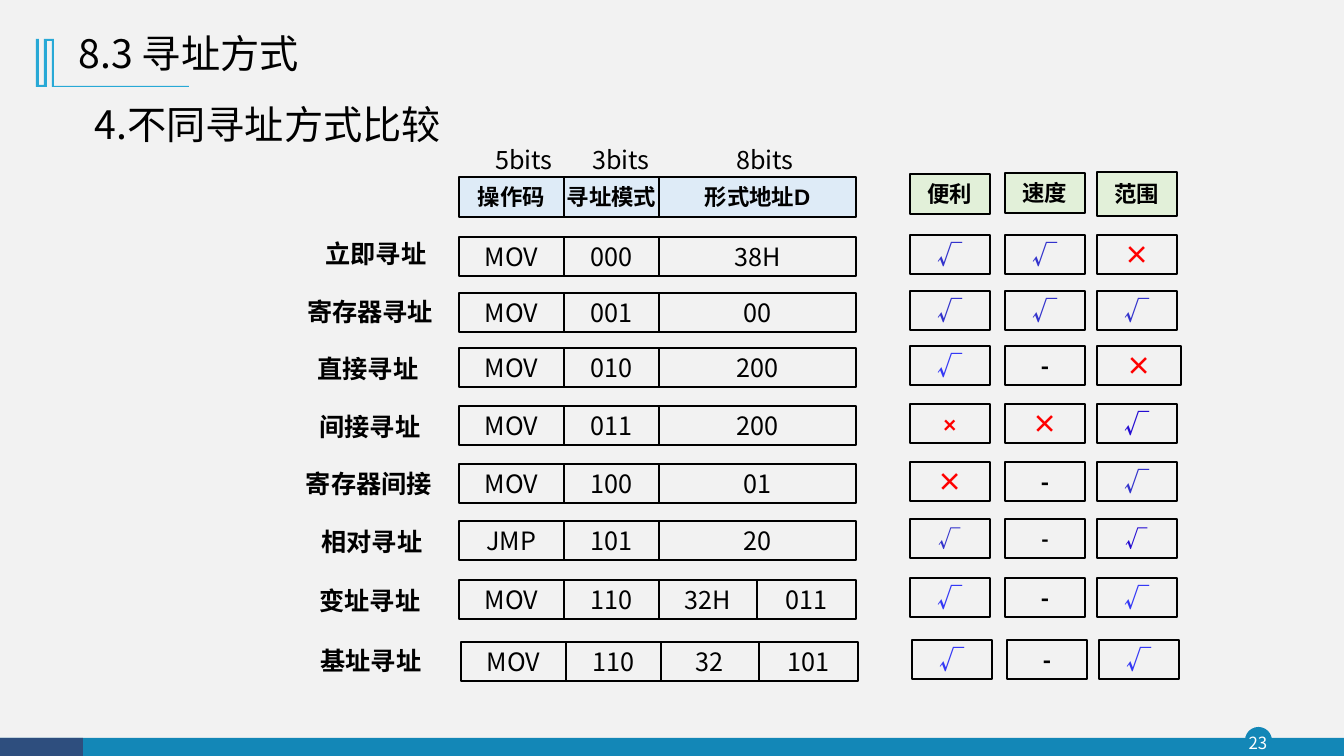
from pptx import Presentation, util as u
from pptx.dml.color import RGBColor
from pptx.enum import shapes, text
from pptx.oxml.ns import qn
from lxml import etree

PX = 12192000 / 1344  # EMU per px
NOTO, NOTO_JP, LATIN, LATO, NARROW = (
    "Noto Sans CJK SC", "Noto Sans CJK JP", "Arial", "Lato", "Calibri")
THEME = dict(
    back="F2F2F2", ink="000000", white="FFFFFF", bar="1387B7", bar_dark="2E4E7E",
    accent="28A9D6", field="DEEBF7", criterion="E2F0D9", cross="FF0000",
    tick="3333CC", tick_bright="3438F6", tick_deep="240CD2",
    title=28, body=18, head=16, number=12, line=1.75)
T = THEME


def write(sp, words, size="body", font=NOTO, color="ink", bold=False,
          center=True, wrap=False, middle=True, inset=None):
    tf = sp.text_frame
    tf.word_wrap = wrap
    tf.vertical_anchor = text.MSO_ANCHOR.MIDDLE if middle else text.MSO_ANCHOR.TOP
    if inset is not None:
        tf.margin_left = tf.margin_right = inset
    p = tf.paragraphs[0]
    p.text = words
    p.alignment = text.PP_ALIGN.CENTER if center else text.PP_ALIGN.LEFT
    f = p.font
    f.name, f.size, f.bold = font, u.Pt(T[size]), bold
    f.color.rgb = RGBColor.from_string(T[color])
    if font != LATIN and font != LATO:
        ea = etree.Element(qn("a:ea"), typeface=font)
        f._element.find(qn("a:latin")).addnext(ea)
    return p


def shape(x, y, w, h, fill=None, line=None, kind=shapes.MSO_SHAPE.RECTANGLE):
    sp = s.shapes.add_shape(kind, *(round(v * PX) for v in (x, y, w, h)))
    sp.shadow.inherit = False
    if fill:
        sp.fill.solid()
        sp.fill.fore_color.rgb = RGBColor.from_string(T[fill])
    else:
        sp.fill.background()
    if line:
        sp.line.color.rgb = RGBColor.from_string(T[line])
        sp.line.width = u.Pt(T["line"])
    else:
        sp.line.fill.background()
    return sp


prs = Presentation()
prs.slide_width, prs.slide_height = round(1344 * PX), round(756 * PX)
s = prs.slides.add_slide(prs.slide_layouts[6])
s.background.fill.solid()
s.background.fill.fore_color.rgb = RGBColor.from_string(T["back"])

# Footer with page number
shape(1245, 727, 27, 27, "bar", kind=shapes.MSO_SHAPE.OVAL)
shape(0, 738, 1344, 18, "bar")
shape(0, 738, 83, 18, "bar_dark")

# Title ornament
outline = [(54, 39), (54, 86), (189, 86), (189, 87), (52, 87), (52, 41), (47, 41),
           (47, 87), (36, 87), (36, 39), (39, 39), (39, 85), (44, 85), (44, 39)]
fb = s.shapes.build_freeform(*outline[0], scale=PX)
fb.add_line_segments(outline[1:], close=True)
ornament = fb.convert_to_shape()
ornament.shadow.inherit = False
ornament.fill.solid()
ornament.fill.fore_color.rgb = RGBColor.from_string(T["accent"])
ornament.line.fill.background()

# Free text: titles, page number, field widths
texts = [
    (69, 21, 404, 69, "8.3 寻址方式", dict(size="title", center=False, wrap=True)),
    (85, 95, 418, 57, "4.不同寻址方式比较",
     dict(size="title", font=NOTO_JP, center=False, wrap=True, middle=False)),
    (1242, 727, 32, 31, "23", dict(size="number", color="white", wrap=True, inset=0)),
]
texts += [(x, 139, 80, 40, bits, dict(middle=False))
          for x, bits in ((484, "5bits"), (581, "3bits"), (725, "8bits"))]

# Instruction modes: label, label centre, label top, row top, fields, marks
modes = [
    ("立即寻址", 376, 226, 237, ("MOV", "000", "38H"), "ttx"),
    ("寄存器寻址", 370, 284, 293, ("MOV", "001", "00"), "ttt"),
    ("直接寻址", 368, 341, 348, ("MOV", "010", "200"), "b-x"),
    ("间接寻址", 370, 399, 406, ("MOV", "011", "200"), "sxd"),
    ("寄存器间接", 369, 456, 464, ("MOV", "100", "01"), "x-t"),
    ("相对寻址", 372, 514, 521, ("JMP", "101", "20"), "t-d"),
    ("变址寻址", 370, 573, 580, ("MOV", "110", "32H", "011"), "b-b"),
    ("基址寻址", 371, 633, 642, ("MOV", "110", "32", "101"), "b-b"),
]
marks = {
    "t": ("√", NOTO, "tick"), "b": ("√", NOTO, "tick_bright"),
    "d": ("√", NOTO, "tick_deep"), "x": ("×", NOTO, "cross"),
    "s": ("×", NARROW, "cross"), "-": ("-", NARROW, "ink"),
}
edges = {3: (459, 564, 659, 856), 4: (459, 564, 659, 757, 856)}
criteria_x = (910, 1005, 1097)
ROW_H, MARK_W = 39, 80

for label, cx, top, *_ in modes:
    texts.append((cx - 75, top, 150, 54, label,
                  dict(font=LATO if label == "立即寻址" else LATIN, bold=True)))
for x, y, w, h, words, style in texts:
    box = s.shapes.add_textbox(*(round(v * PX) for v in (x, y, w, h)))
    p = write(box, words, **style)
    if y == 21:
        p.line_spacing = 0.9

# Header boxes
for x, right, words in zip(edges[3], edges[3][1:], ("操作码", "寻址模式", "形式地址D")):
    write(shape(x, 177, right - x, 40, "field", "ink"), words, "head", LATIN, bold=True, inset=0)
for x, y, h, words in zip(criteria_x, (174, 173, 172), (40, 40, 44), ("便利", "速度", "范围")):
    write(shape(x, y, MARK_W, h, "criterion", "ink"), words, "head", LATIN, bold=True)

# Instruction fields and marks, row by row
for label, _, _, y, fields, row_marks in modes:
    shift = 2 if label == "基址寻址" else 0
    xs = edges[len(fields)]
    for x, right, words in zip(xs, xs[1:], fields):
        write(shape(x + shift, y, right - x, ROW_H, line="ink"), words, inset=0)
    size = "head" if label == "相对寻址" else "body"
    for x, key in zip(criteria_x, row_marks):
        words, font, color = marks[key]
        wide = 4 if label == "直接寻址" and x == criteria_x[-1] else 0
        write(shape(x + shift, y - 2, MARK_W + wide, ROW_H, line="ink"),
              words, size, font, color, bold=True)

prs.save("out.pptx")
